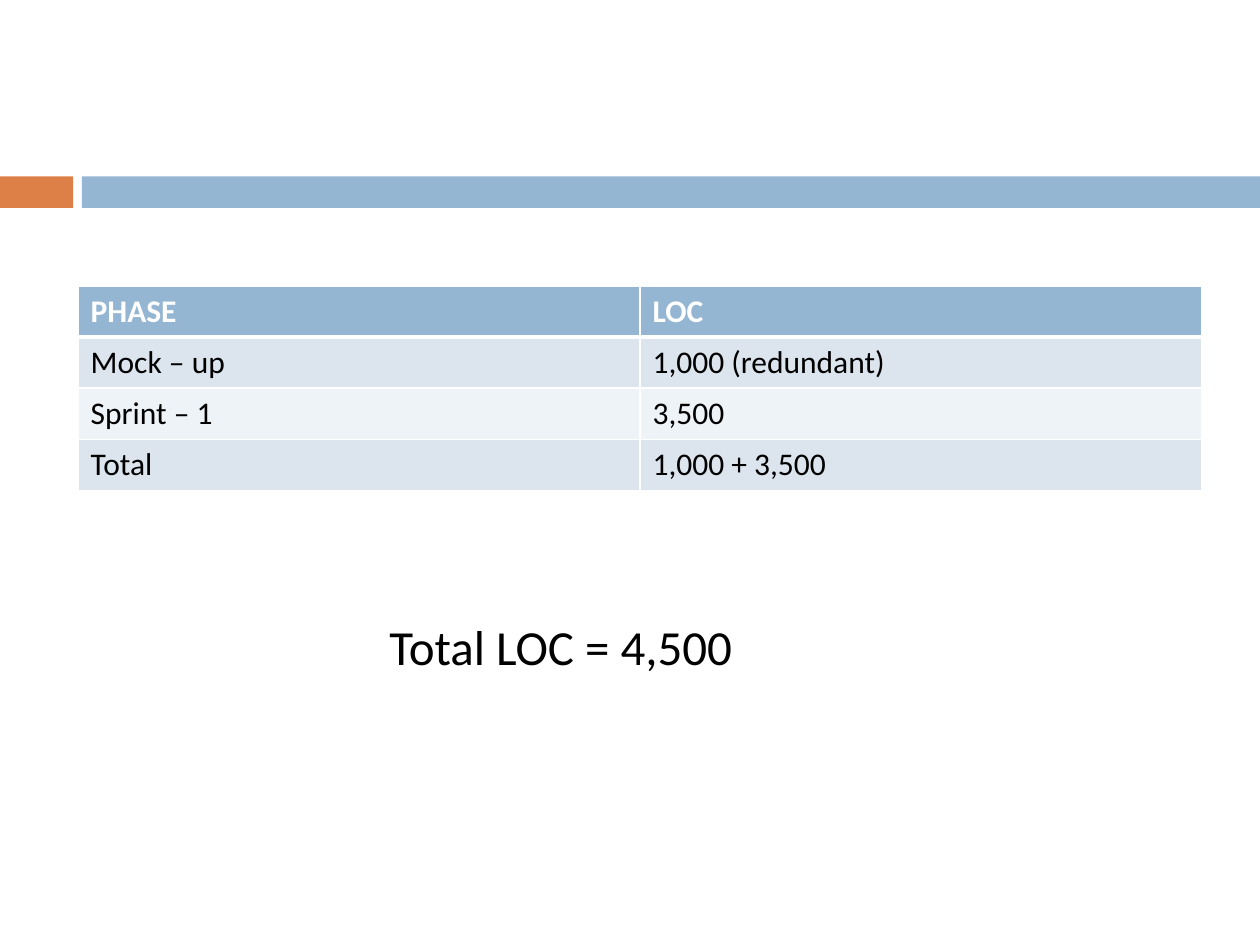
from lxml.etree import SubElement
from pptx import Presentation
from pptx.dml.color import RGBColor
from pptx.enum.shapes import MSO_SHAPE
from pptx.oxml.ns import qn
from pptx.util import Inches, Pt

FONT = "Calibri"
COLORS = {
    "accent": "DD8047",
    "blue": "94B6D2",
    "band_dark": "DCE5EE",
    "band_light": "EEF3F7",
    "white": "FFFFFF",
    "black": "000000",
}
ROWS = [
    ("PHASE", "LOC"),
    ("Mock – up", "1,000 (redundant)"),
    ("Sprint – 1", "3,500"),
    ("Total", "1,000 + 3,500"),
]


def color(name):
    """Return the named colour."""
    return RGBColor.from_string(COLORS[name])


def format_text(frame, size, color_name, bold=False):
    """Format every run of a text frame."""
    for para in frame.paragraphs:
        for span in para.runs:
            span.font.name = FONT
            span.font.size = Pt(size)
            span.font.bold = bold
            span.font.color.rgb = color(color_name)


def add_bar(page, left, width, color_name):
    """Add one part of the horizontal band."""
    bar = page.shapes.add_shape(
        MSO_SHAPE.RECTANGLE, Inches(left), Inches(1.4), Inches(width), Inches(0.25))
    bar.shadow.inherit = False
    bar.fill.solid()
    bar.fill.fore_color.rgb = color(color_name)
    bar.line.fill.background()


def set_borders(cell, top, bottom):
    """Give a cell white borders, with top and bottom widths in points."""
    properties = cell._tc.get_or_add_tcPr()
    for side, width in (("L", 1), ("R", 1), ("T", top), ("B", bottom)):
        line = SubElement(properties, qn(f"a:ln{side}"), w=str(Pt(width)))
        fill = SubElement(line, qn("a:solidFill"))
        SubElement(fill, qn("a:srgbClr"), val=COLORS["white"])


def add_phase_table(page):
    """Add the table of lines of code per phase."""
    frame = page.shapes.add_table(
        len(ROWS), 2, Inches(0.62), Inches(2.27), Inches(8.92), Inches(1.62))
    for row, values in enumerate(ROWS):
        header = row == 0
        fill = "blue" if header else "band_dark" if row % 2 else "band_light"
        for column, value in enumerate(values):
            cell = frame.table.cell(row, column)
            cell.text_frame.text = value
            format_text(cell.text_frame, 18, "white" if header else "black", header)
            set_borders(cell, 3 if row == 1 else 1, 3 if header else 1)
            cell.fill.solid()
            cell.fill.fore_color.rgb = color(fill)


def add_total(page):
    """Add the line with the total."""
    box = page.shapes.add_textbox(
        Inches(2.73), Inches(4.84), Inches(4.3), Inches(0.57))
    box.text_frame.word_wrap = True
    box.text_frame.margin_left = Inches(0.36)
    box.text_frame.text = "Total LOC = 4,500"
    format_text(box.text_frame, 28, "black")


def main():
    """Build the slide and save it."""
    deck = Presentation()
    deck.slide_width, deck.slide_height = Inches(10), Inches(7.5)
    page = deck.slides.add_slide(deck.slide_layouts[6])
    add_bar(page, 0, 0.58, "accent")
    add_bar(page, 0.65, 9.35, "blue")
    add_phase_table(page)
    add_total(page)
    deck.save("out.pptx")


main()
